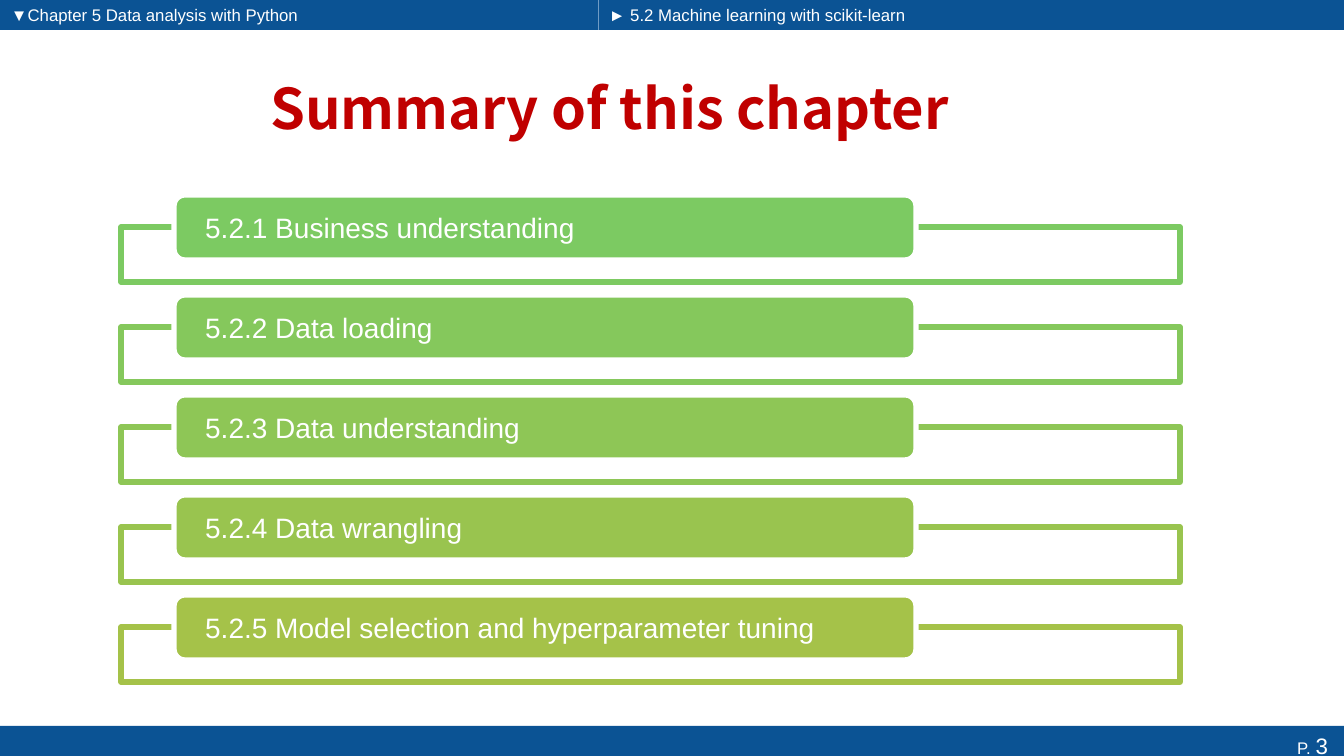
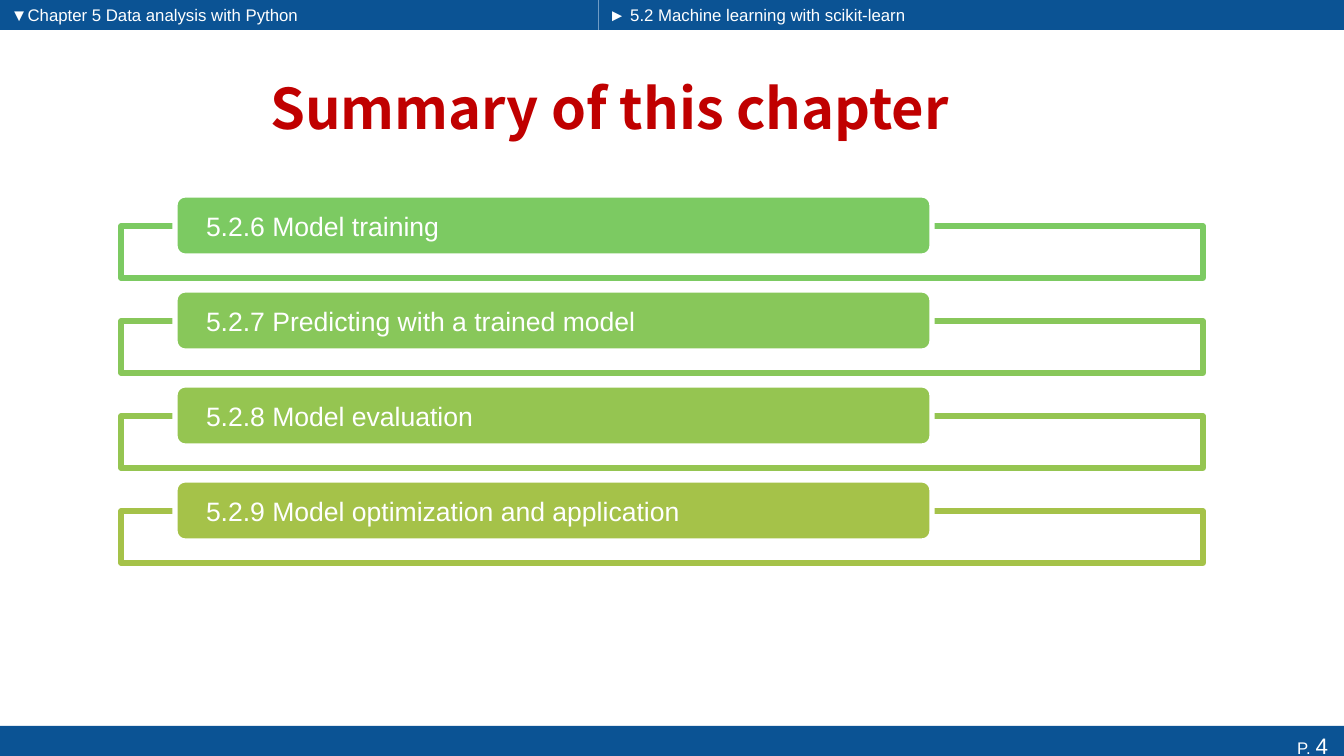
from pptx import Presentation
from pptx.dml.color import RGBColor
from pptx.enum.shapes import MSO_CONNECTOR, MSO_SHAPE
from pptx.enum.text import MSO_ANCHOR, MSO_AUTO_SIZE, PP_ALIGN
from pptx.util import Emu, Pt
from lxml import etree

RECTANGLE, ROUNDED = MSO_SHAPE.RECTANGLE, MSO_SHAPE.ROUNDED_RECTANGLE
STRAIGHT = MSO_CONNECTOR.STRAIGHT
LEFT, CENTER, RIGHT = PP_ALIGN.LEFT, PP_ALIGN.CENTER, PP_ALIGN.RIGHT
TOP, MIDDLE = MSO_ANCHOR.TOP, MSO_ANCHOR.MIDDLE
NO_AUTOFIT = MSO_AUTO_SIZE.NONE

EMU_PER_PX = 914400 / 100.8
WIDTH, HEIGHT = 1344, 756
BAND_HEIGHT = 30
HEADER_SPLIT = 598
LINE_WIDTH = 3.78
DRAWING_NS = "http://schemas.openxmlformats.org/drawingml/2006/main"

COLORS = {
    "band": "0B5394",
    "divider": "6F9BC5",
    "title": "C00000",
    "white": "FFFFFF",
    "green": "7CCA62",
    "green 25": "85C85C",
    "green 33": "88C75A",
    "green 50": "8EC656",
    "green 67": "95C551",
    "green 75": "99C44F",
    "olive": "A5C249",
}


def px(length):
    return Emu(round(length * EMU_PER_PX))


def color(name):
    return RGBColor.from_string(COLORS[name])


class Deck:
    """Holds the shared style and the slide being built."""

    text_font = "Arial"
    title_font = "Noto Sans CJK SC"

    def __init__(self):
        self.presentation = Presentation()
        self.presentation.slide_width = px(WIDTH)
        self.presentation.slide_height = px(HEIGHT)
        self.slide = None

    def new_slide(self, title, chapter, section, page):
        layout = self.presentation.slide_layouts[5]
        self.slide = self.presentation.slides.add_slide(layout)
        self.bands(chapter, section, page)
        self.title(title)

    def set_text(self, shape, runs, align=LEFT, anchor=MIDDLE, margins=(0, 0, 0, 0),
                 font=text_font, ink="white", bold=False):
        """Fill a shape with one paragraph of (text, size) runs."""
        frame = shape.text_frame
        frame.word_wrap = True
        frame.auto_size = NO_AUTOFIT
        frame.vertical_anchor = anchor
        (frame.margin_left, frame.margin_top,
         frame.margin_right, frame.margin_bottom) = map(px, margins)
        paragraph = frame.paragraphs[0]
        paragraph.alignment = align
        for text, size in runs:
            run = paragraph.add_run()
            run.text = text
            run.font.name = font
            run.font.size = Pt(size)
            run.font.bold = bold
            run.font.color.rgb = color(ink)

    def box(self, kind, left, top, width, height, fill, line=None):
        shape = self.slide.shapes.add_shape(
            kind, px(left), px(top), px(width), px(height))
        shape.shadow.inherit = False
        shape.fill.solid()
        shape.fill.fore_color.rgb = color(fill)
        if line:
            shape.line.color.rgb = color(line)
            shape.line.width = Pt(LINE_WIDTH)
        else:
            shape.line.fill.background()
        return shape

    def divider(self, left, top, bottom):
        line = self.slide.shapes.add_connector(
            STRAIGHT, px(left), px(top), px(left), px(bottom))
        line.line.color.rgb = color("divider")
        line.line.width = Pt(0.5)
        etree.SubElement(line._element.spPr, f"{{{DRAWING_NS}}}effectLst")

    def bands(self, chapter, section, page):
        # Header: chapter on the left, section on the right
        edges = (0, HEADER_SPLIT, WIDTH)
        for left, right, text in zip(edges, edges[1:], (chapter, section)):
            band = self.box(RECTANGLE, left, 0, right - left, BAND_HEIGHT, "band")
            self.set_text(band, [(text, 12)], margins=(11, 0, 11, 0))
        self.divider(HEADER_SPLIT, 0, BAND_HEIGHT)
        # Footer with page number
        footer = self.box(RECTANGLE, 0, HEIGHT - BAND_HEIGHT, WIDTH, BAND_HEIGHT, "band")
        self.set_text(footer, [("P. ", 12), (str(page), 16)], RIGHT, TOP, (0, 6, 16, 0))

    def title(self, text):
        title = self.slide.shapes.title
        title.left, title.top, title.width, title.height = map(px, (69, 62, 1081, 91))
        self.set_text(title, [(text, 40)], CENTER, margins=(10, 5, 10, 5),
                      font=self.title_font, ink="title", bold=True)

    def topic_list(self, topics, pitch, frame, tab, size):
        """Stack framed tabs; frame and tab give the first row's boxes."""
        frame_left, frame_top, frame_width, frame_height = frame
        tab_left, tab_top, tab_width, tab_height = tab
        for row, (text, accent) in enumerate(topics):
            shift = row * pitch
            self.box(RECTANGLE, frame_left, frame_top + shift,
                     frame_width, frame_height, "white", accent)
            label = self.box(ROUNDED, tab_left, tab_top + shift,
                             tab_width, tab_height, accent, "white")
            self.set_text(label, [(text, size)], margins=(28, 0, 28, 0))


def main():
    deck = Deck()
    title = "Summary of this chapter"
    chapter = "▼Chapter 5 Data analysis with Python"
    section = "► 5.2 Machine learning with scikit-learn"

    # First half of the topics
    deck.new_slide(title, chapter, section, 3)
    deck.topic_list(
        [("5.2.1 Business understanding", "green"),
         ("5.2.2 Data loading", "green 25"),
         ("5.2.3 Data understanding", "green 50"),
         ("5.2.4 Data wrangling", "green 75"),
         ("5.2.5 Model selection and hyperparameter tuning", "olive")],
        pitch=100, frame=(121, 227, 1059, 55), tab=(174, 195, 742, 65), size=20)

    # Second half of the topics
    deck.new_slide(title, chapter, section, 4)
    deck.topic_list(
        [("5.2.6 Model training", "green"),
         ("5.2.7 Predicting with a trained model", "green 33"),
         ("5.2.8 Model evaluation", "green 67"),
         ("5.2.9 Model optimization and application", "olive")],
        pitch=95, frame=(121, 226, 1082, 52), tab=(175, 195, 757, 61), size=19)

    deck.presentation.save("out.pptx")


if __name__ == "__main__":
    main()
